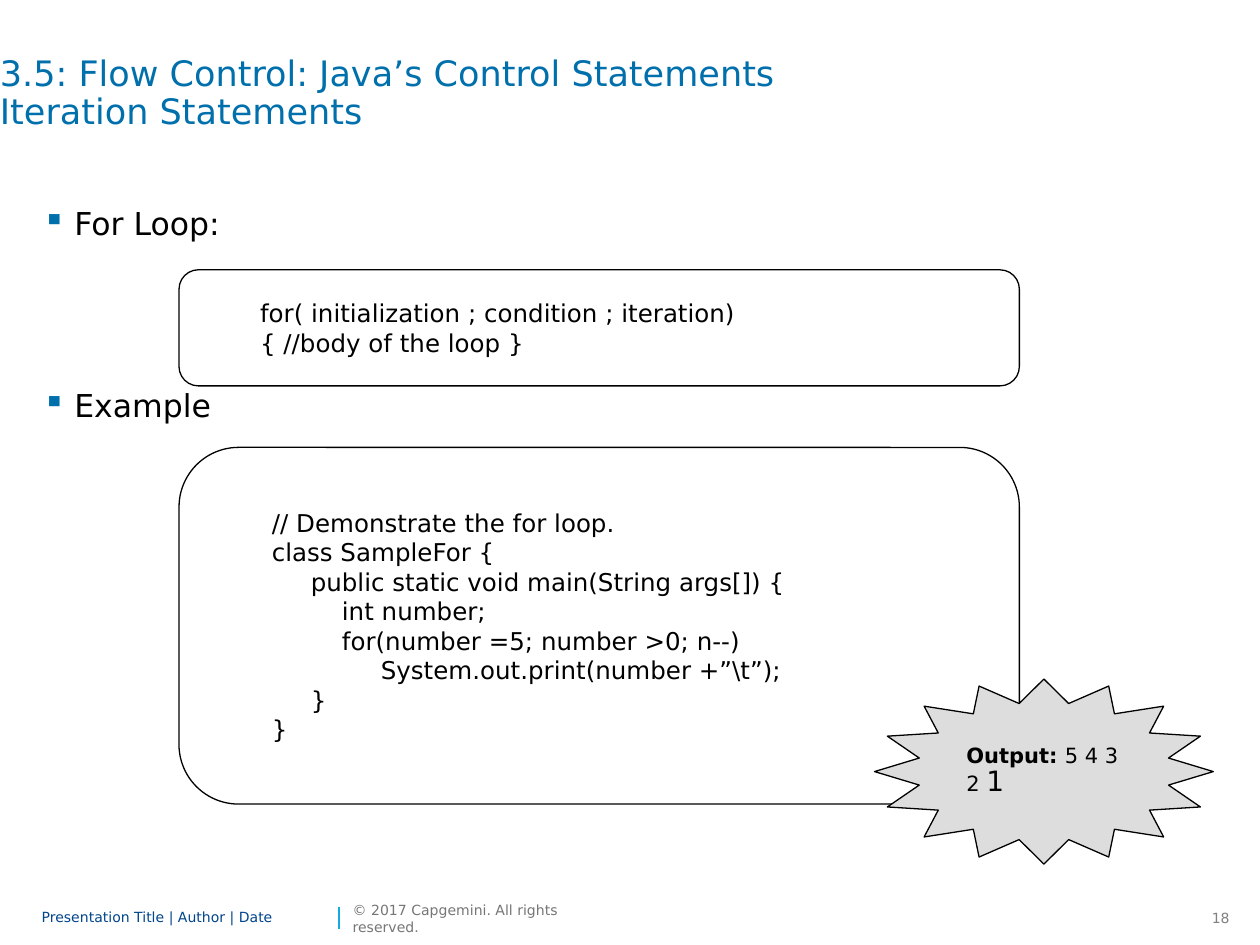
from dataclasses import dataclass, field
from typing import Optional

from lxml.etree import SubElement
from pptx import Presentation
from pptx.dml.color import RGBColor
from pptx.enum.shapes import MSO_CONNECTOR, MSO_SHAPE
from pptx.enum.text import MSO_ANCHOR, PP_ALIGN
from pptx.oxml.ns import qn
from pptx.util import Cm, Pt

FONT = "DejaVu Sans"
BLACK, BLUE = "000000", "0070AD"
FOOTER_TOP, FOOTER_HEIGHT = 18.21, 0.61
BOX_LEFT, BOX_WIDTH = 3.61, 16.94


@dataclass
class Run:
    text: str
    size: float
    color: str = BLACK
    bold: bool = False


@dataclass
class Para:
    runs: list[Run]
    fmt: dict = field(default_factory=dict)
    indent: tuple[float, float] = (0, 0)
    bullet: Optional[str] = None


@dataclass
class Box:
    at: tuple[float, float, float, float]
    paras: list[Para]
    frame: dict = field(default_factory=dict)
    preset: Optional[MSO_SHAPE] = None
    adj: float = 0
    fill: Optional[str] = None


def rgb(color: str) -> RGBColor:
    return RGBColor.from_string(color)


def set_attrs(obj, values: dict) -> None:
    for name, value in values.items():
        setattr(obj, name, value)


def add_para(p, para: Para) -> None:
    pPr = p._p.get_or_add_pPr()
    if any(para.indent):
        left, first = para.indent
        pPr.set("marL", str(Cm(left)))
        pPr.set("indent", str(Cm(first)))
    if para.bullet:
        clr = SubElement(pPr, qn("a:buClr"))
        SubElement(clr, qn("a:srgbClr"), val=BLUE)
        SubElement(pPr, qn("a:buChar"), char=para.bullet)
    set_attrs(p, para.fmt)
    for run in para.runs:
        for i, line in enumerate(run.text.split("\n")):
            if i:
                p.add_line_break()
            r = p.add_run()
            r.text = line
            set_attrs(r.font, {"name": FONT, "size": Pt(run.size), "bold": run.bold})
            r.font.color.rgb = rgb(run.color)


def add_box(s, box: Box) -> None:
    at = [Cm(v) for v in box.at]
    if box.preset is None:
        sp = s.shapes.add_textbox(*at)
    else:
        sp = s.shapes.add_shape(box.preset, *at)
        sp.adjustments[0] = box.adj
        sp.shadow.inherit = False
        sp.line.color.rgb = rgb(BLACK)
        sp.line.width = Pt(0.75)
        if box.fill:
            sp.fill.solid()
            sp.fill.fore_color.rgb = rgb(box.fill)
        else:
            sp.fill.background()
    tf = sp.text_frame
    set_attrs(tf, {"word_wrap": True} | box.frame)
    for i, para in enumerate(box.paras):
        add_para(tf.add_paragraph() if i else tf.paragraphs[0], para)


def add_line(s, x1: float, y1: float, x2: float, y2: float, color: str) -> None:
    cx = s.shapes.add_connector(MSO_CONNECTOR.STRAIGHT, Cm(x1), Cm(y1), Cm(x2), Cm(y2))
    cx.line.color.rgb = rgb(color)
    cx.line.width = Pt(1)
    SubElement(cx._element.spPr, qn("a:effectLst"))


NO_INSETS = dict.fromkeys(("margin_left", "margin_top", "margin_right", "margin_bottom"), 0)
MIDDLE = {"vertical_anchor": MSO_ANCHOR.MIDDLE}
NO_WRAP = {"word_wrap": False}
LEFT = {"alignment": PP_ALIGN.LEFT}


def bullet_item(text: str, **fmt) -> Para:
    base = {"line_spacing": Pt(20), "space_after": Pt(6)}
    return Para([Run(text, 18)], base | fmt, (0.66, -0.64), "▪")


def code_box(top: float, height: float, code: str) -> Box:
    paras = [Para([Run(line, 14)], LEFT, (1.27, 0)) for line in code.split("\n")]
    return Box((BOX_LEFT, top, BOX_WIDTH, height), paras, MIDDLE | NO_WRAP,
               MSO_SHAPE.ROUNDED_RECTANGLE, 0.167)


def footer(left: float, width: float, text: str, color: str, frame: dict, **fmt) -> Box:
    return Box((left, FOOTER_TOP, width, FOOTER_HEIGHT),
               [Para([Run(text, 8, color)], fmt)], frame)


SYNTAX = """for( initialization ; condition ; iteration)
{ //body of the loop }"""

EXAMPLE = """// Demonstrate the for loop.
class SampleFor {
     public static void main(String args[]) {
         int number;
         for(number =5; number >0; n--)
              System.out.print(number +”\\t”);
     }
}"""

BOXES = [
    # Footer
    footer(24.05, 0.99, "18", "808080", NO_WRAP, alignment=PP_ALIGN.RIGHT),
    footer(0.84, 5.89, "Presentation Title | Author | Date", "00458D",
           NO_INSETS | MIDDLE, line_spacing=0.85),
    footer(7.11, 4.62, "© 2017 Capgemini. All rights reserved.", "767676",
           NO_INSETS | MIDDLE | NO_WRAP),
    # Title
    Box((0, 1.14, 23.7, 2.39),
        [Para([Run("3.5: Flow Control: Java’s Control Statements\nIteration Statements",
                   20, BLUE)], {"line_spacing": 0.9})], NO_INSETS),
    # Bullets, with room for the syntax box between them
    Box((0.84, 4.17, 24.56, 12.9),
        [bullet_item("For Loop:"), bullet_item("Example", space_before=Pt(78))], NO_INSETS),
    # Code
    code_box(9.02, 7.19, EXAMPLE),
    code_box(5.44, 2.34, SYNTAX),
    # Output burst
    Box((17.63, 13.69, 6.83, 3.73),
        [Para([Run("Output: ", 12, bold=True), Run("5 4 3 2 ", 12), Run("1", 16)],
              LEFT | {"line_spacing": 0.9})],
        MIDDLE, MSO_SHAPE.STAR_16_POINT, 0.375, "DDDDDD"),
]


def main() -> None:
    prs = Presentation()
    prs.slide_width, prs.slide_height = Cm(25.4), Cm(19.05)
    s = prs.slides.add_slide(prs.slide_layouts[6])
    add_line(s, 6.83, 18.72, 6.83, 18.29, "12ABDB")
    for box in BOXES:
        add_box(s, box)
    prs.save("out.pptx")


if __name__ == "__main__":
    main()
